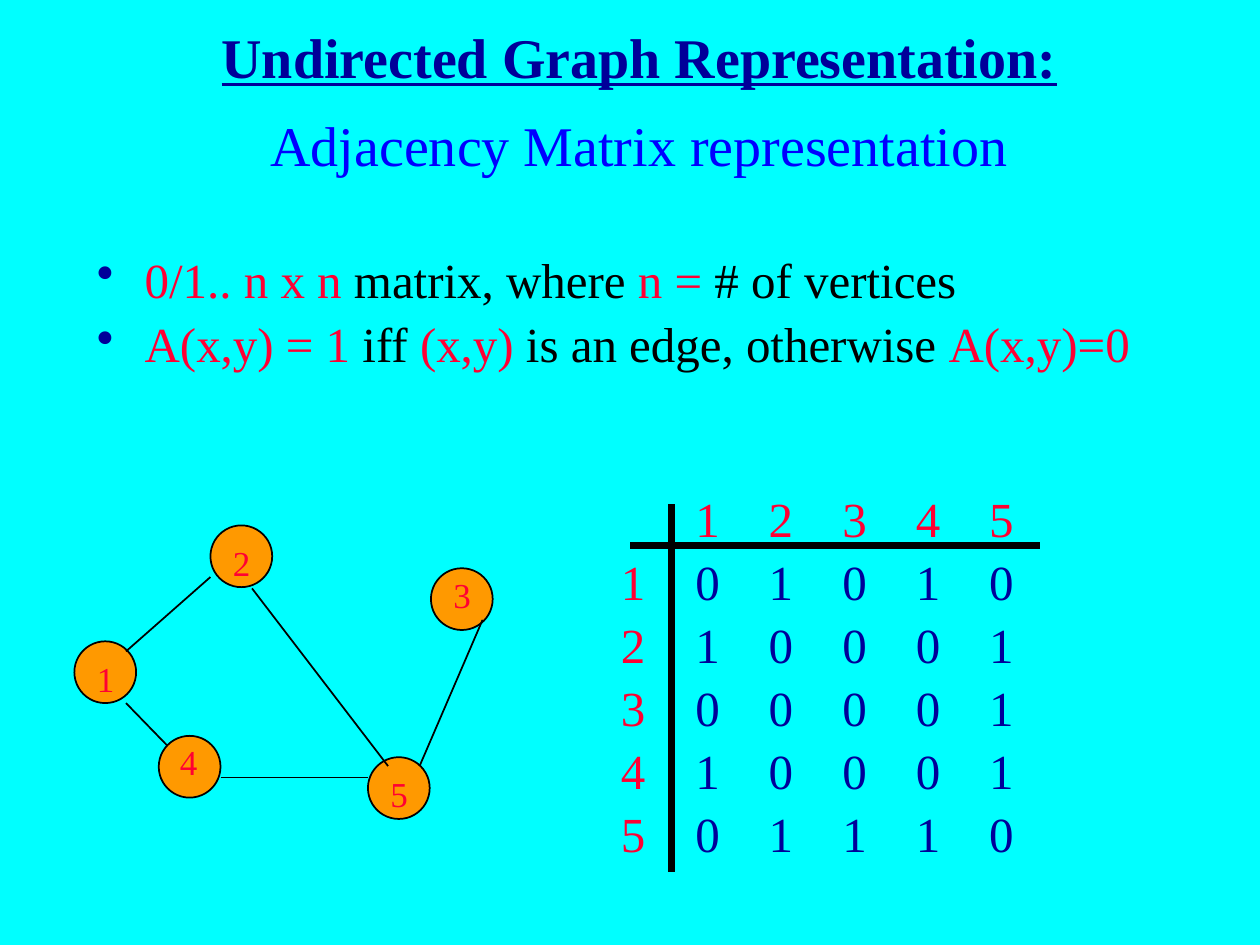
from lxml.etree import SubElement
from pptx import Presentation
from pptx.dml.color import RGBColor
from pptx.enum.shapes import MSO_CONNECTOR, MSO_SHAPE
from pptx.enum.text import MSO_ANCHOR, PP_ALIGN
from pptx.oxml.ns import qn
from pptx.util import Inches, Pt

CYAN = RGBColor(0x00, 0xFF, 0xFF)
NAVY = RGBColor(0x00, 0x00, 0x99)
BLUE = RGBColor(0x00, 0x00, 0xFF)
RED = RGBColor(0xFF, 0x00, 0x33)
ORANGE = RGBColor(0xFF, 0x99, 0x00)
BLACK = RGBColor(0x00, 0x00, 0x00)


class Deck:
    font = "Times New Roman"

    def __init__(self, prs):
        self.s = prs.slides.add_slide(prs.slide_layouts[6])
        self.s.background.fill.solid()
        self.s.background.fill.fore_color.rgb = CYAN

    def box(self, x, y, w, h):
        tf = self.s.shapes.add_textbox(Inches(x), Inches(y), Inches(w), Inches(h)).text_frame
        tf.word_wrap = True
        return tf

    def run(self, p, text, size, color, strong=False):
        r = p.add_run()
        r.text = text
        r.font.name = self.font
        r.font.size = Pt(size)
        r.font.color.rgb = color
        if strong:
            r.font.bold = True
            r.font.underline = True

    def label(self, text, x, y, w, h, size, color):
        self.run(self.box(x, y, w, h).paragraphs[0], text, size, color)

    def title(self, heading, subtitle):
        tf = self.box(0.15, 0.17, 9.85, 1.25)
        tf.vertical_anchor = MSO_ANCHOR.MIDDLE
        p = tf.paragraphs[0]
        p.alignment = PP_ALIGN.CENTER
        self.run(p, heading, 32, NAVY, strong=True)
        p = tf.add_paragraph()
        p.alignment = PP_ALIGN.CENTER
        p.space_before = Pt(12)
        self.run(p, subtitle, 32, BLUE)

    def bullets(self, items):
        tf = self.box(0.67, 1.98, 8.5, 0.58)
        for i, parts in enumerate(items):
            p = tf.add_paragraph() if i else tf.paragraphs[0]
            p.line_spacing = 0.9
            p.space_before = Pt(6.5)
            pPr = p._p.get_or_add_pPr()
            pPr.set("marL", str(Inches(0.38)))
            pPr.set("indent", str(-Inches(0.38)))
            clr = SubElement(pPr, qn("a:buClr"))
            SubElement(clr, qn("a:srgbClr"), val=str(NAVY))
            SubElement(pPr, qn("a:buChar"), char="•")
            for text, color in parts:
                self.run(p, text, 28, color)

    def node(self, x, y):
        sp = self.s.shapes.add_shape(MSO_SHAPE.OVAL, Inches(x), Inches(y), Inches(0.49), Inches(0.49))
        sp.shadow.inherit = False
        sp.fill.solid()
        sp.fill.fore_color.rgb = ORANGE
        sp.line.color.rgb = BLACK
        sp.line.width = Pt(1)

    def line(self, x1, y1, x2, y2, width=1):
        c = self.s.shapes.add_connector(
            MSO_CONNECTOR.STRAIGHT, Inches(x1), Inches(y1), Inches(x2), Inches(y2))
        c.line.color.rgb = BLACK
        c.line.width = Pt(width)
        SubElement(c._element.spPr, qn("a:effectLst"))


prs = Presentation()
prs.slide_width, prs.slide_height = Inches(10), Inches(7.5)
deck = Deck(prs)

deck.title("Undirected Graph Representation:", "Adjacency Matrix representation")
deck.bullets([
    [("0/1.. n x n ", RED), ("matrix, where ", BLACK), ("n = ", RED), ("# of vertices", BLACK)],
    [("A(x,y) = 1 ", RED), ("iff ", BLACK), ("(x,y)", RED),
     (" is an edge, otherwise ", BLACK), ("A(x,y)=0", RED)],
])

NODES = {
    "1": ((0.59, 5.09), (0.67, 5.17)),
    "2": ((1.67, 4.17), (1.75, 4.25)),
    "3": ((3.42, 4.51), (3.5, 4.5)),
    "4": ((1.26, 5.84), (1.33, 5.83)),
    "5": ((2.92, 6.01), (3, 6.08)),
}
EDGES = [
    (1.67, 4.58, 1, 5.17),
    (2, 4.67, 3.08, 6.08),
    (1, 5.58, 1.33, 5.92),
    (3.83, 4.92, 3.33, 6.08),
    (1.75, 6.17, 2.92, 6.17),
]
for circle, _ in NODES.values():
    deck.node(*circle)
for edge in EDGES:
    deck.line(*edge)
for name, (_, (x, y)) in NODES.items():
    deck.label(name, x, y, 0.25, 0.43, 20, RED)

MATRIX = ["01010", "10001", "00001", "10001", "01110"]
LEFT, TOP, COL, ROW = 5.42, 4.33, 7 / 12, 0.5
deck.line(5, TOP, 8.25, TOP, 4)
deck.line(5.33, 4, 5.33, 6.92, 4)
for i, values in enumerate(MATRIX):
    y = TOP + i * ROW
    deck.label(str(i + 1), LEFT + i * COL, TOP - ROW, 0.5, 0.57, 28, RED)
    deck.label(str(i + 1), 4.83, y, 0.5, 0.57, 28, RED)
    for j, value in enumerate(values):
        deck.label(value, LEFT + j * COL, y, 0.33, 0.57, 28, NAVY)

prs.save("out.pptx")
